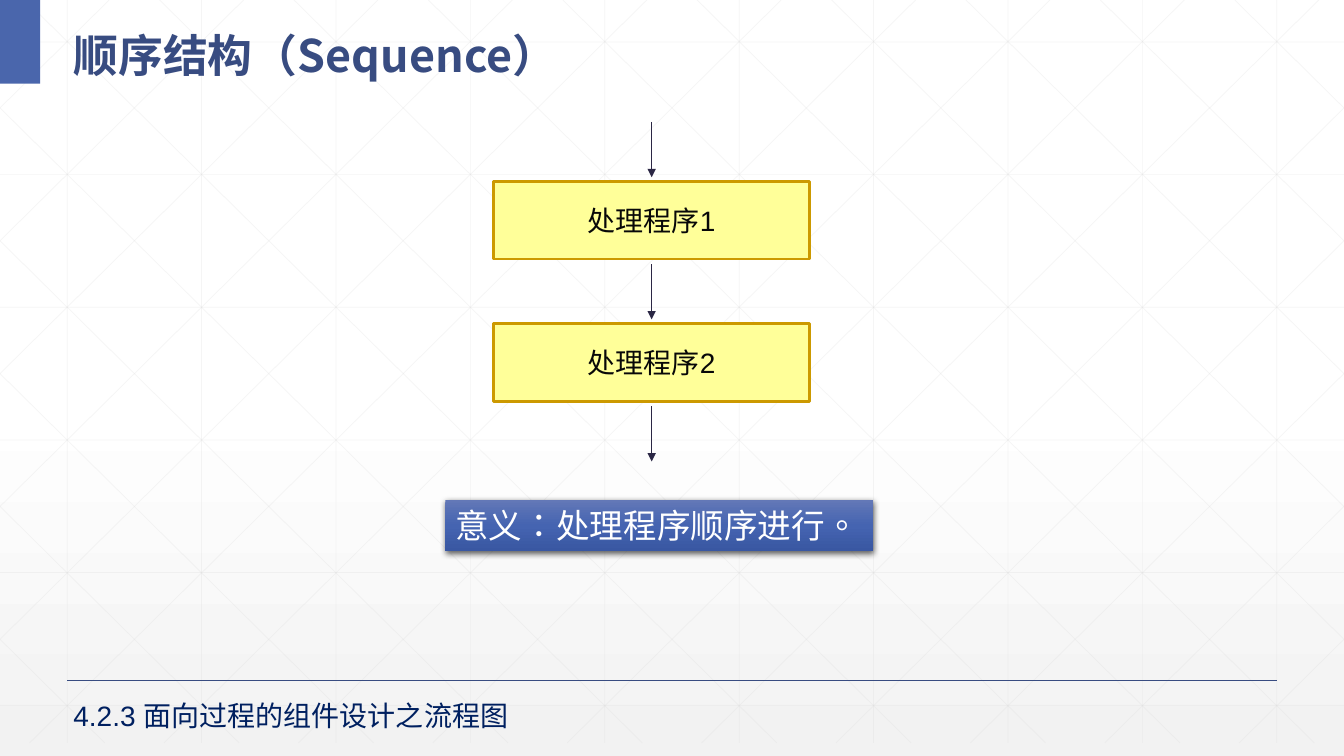
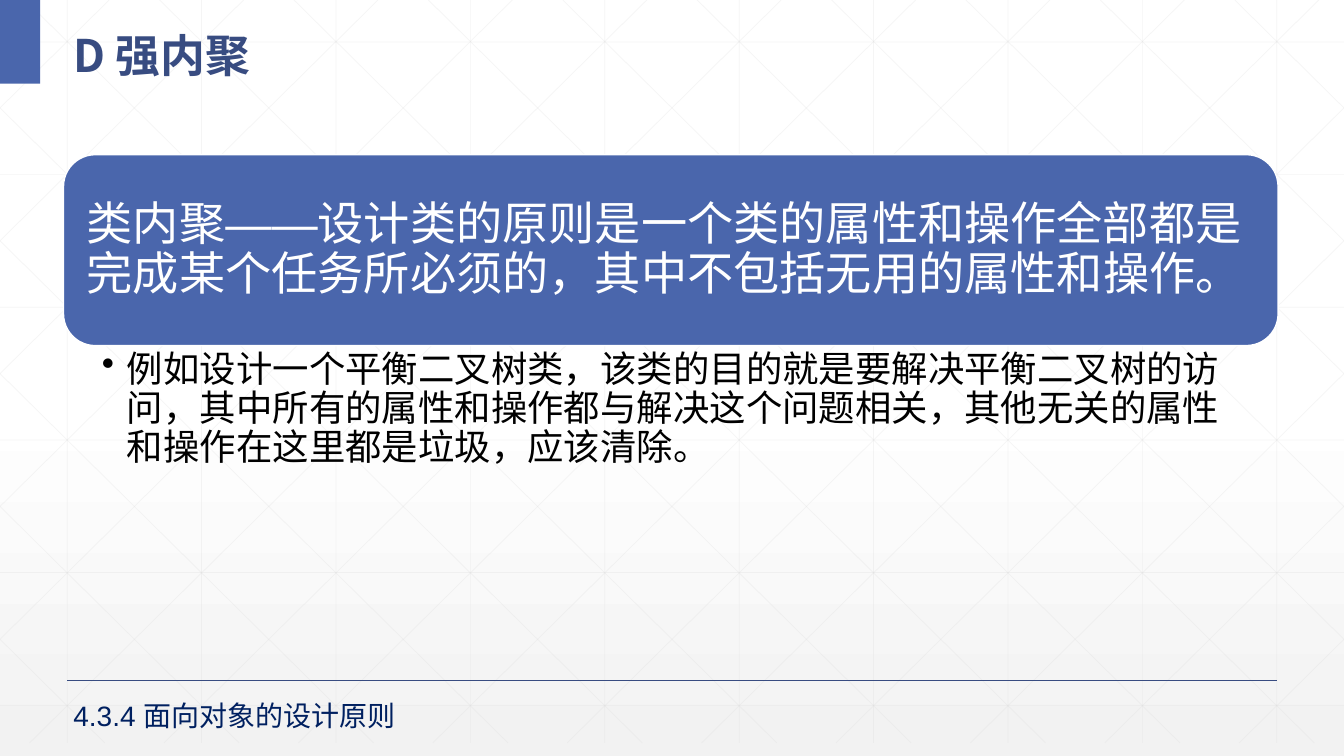
"""Build two course slides on sequence structure and strong cohesion."""
from copy import deepcopy
from dataclasses import dataclass

from lxml.etree import SubElement
from pptx import Presentation
from pptx.dml.color import RGBColor
from pptx.enum.dml import MSO_FILL
from pptx.enum.lang import MSO_LANGUAGE_ID
from pptx.enum.shapes import MSO_CONNECTOR, MSO_SHAPE
from pptx.enum.text import MSO_ANCHOR, MSO_AUTO_SIZE, PP_ALIGN
from pptx.oxml.ns import qn
from pptx.util import Pt

STRAIGHT = MSO_CONNECTOR.STRAIGHT
RECTANGLE, ROUNDED = MSO_SHAPE.RECTANGLE, MSO_SHAPE.ROUNDED_RECTANGLE
TOP, MIDDLE = MSO_ANCHOR.TOP, MSO_ANCHOR.MIDDLE
LEFT, CENTER = PP_ALIGN.LEFT, PP_ALIGN.CENTER
NO_FIT = MSO_AUTO_SIZE.NONE
GRADIENT = MSO_FILL.GRADIENT
SIMPLIFIED = MSO_LANGUAGE_ID.SIMPLIFIED_CHINESE
TRADITIONAL = MSO_LANGUAGE_ID.TRADITIONAL_CHINESE

WHITE = RGBColor(0xFF, 0xFF, 0xFF)
BLACK = RGBColor(0x00, 0x00, 0x00)
PALE_GRAY = RGBColor(0xF2, 0xF2, 0xF2)
GRID_GRAY = RGBColor(0xD9, 0xD9, 0xD9)
BLUE = RGBColor(0x4A, 0x66, 0xAC)
DARK_BLUE = RGBColor(0x38, 0x4C, 0x81)
NAVY = RGBColor(0x00, 0x20, 0x60)
YELLOW = RGBColor(0xFF, 0xFF, 0x99)
GOLD = RGBColor(0xCC, 0x99, 0x00)
INK = RGBColor(0x08, 0x08, 0x08)
ARROW_INK = RGBColor(0x2B, 0x27, 0x45)
PAGE_STOPS = [(0, WHITE), (0.53, WHITE), (1, PALE_GRAY)]
BANNER_STOPS = [
    (0, RGBColor(0x63, 0x78, 0xB7)),
    (0.5, RGBColor(0x45, 0x64, 0xB1)),
    (1, RGBColor(0x39, 0x57, 0xA2)),
]

TITLE_FONT, BODY_FONT = "Noto Sans CJK SC", "Arial"
WIDTH, HEIGHT = 960, 540
GRID_BOTTOM, GRID_STEP, ROW_STEP = 530.6, 96, 94.75
DIAGONAL_START, DIAGONAL_RUN = 18, 536.8
SLOPE = GRID_BOTTOM / DIAGONAL_RUN


@dataclass(frozen=True)
class Area:
    """A rectangle in points."""

    left: float
    top: float
    width: float
    height: float

    def lengths(self) -> tuple:
        """Return the four lengths as slide units."""
        return Pt(self.left), Pt(self.top), Pt(self.width), Pt(self.height)


@dataclass(frozen=True)
class Style:
    """The look of a text."""

    size: float
    color: RGBColor
    font: str = BODY_FONT
    bold: bool = False
    align: PP_ALIGN = LEFT
    anchor: MSO_ANCHOR = MIDDLE
    spacing: float = 1.0
    language: MSO_LANGUAGE_ID = SIMPLIFIED


@dataclass(frozen=True)
class Step:
    """A process box of the flow chart."""

    text: str
    top: float


TITLE_AREA = Area(45.36, 7.2, 894.24, 52.56)
TITLE_STYLE = Style(32, DARK_BLUE, TITLE_FONT, bold=True, spacing=1.3)
FOOTER_AREA = Area(45.36, 495.36, 435, 31.68)
FOOTER_STYLE = Style(20, NAVY)
STEP_STYLE = Style(20, INK, align=CENTER)
BANNER_STYLE = Style(24, WHITE, language=TRADITIONAL)
PRINCIPLE_STYLE = Style(33, WHITE, spacing=0.9)
EXAMPLE_STYLE = Style(26, BLACK, anchor=TOP, spacing=0.9)

STEP_LEFT, STEP_WIDTH, STEP_HEIGHT = 352.8, 225.36, 55.44
STEPS = [Step("处理程序1", 129.6), Step("处理程序2", 231.12)]
ARROW_TOPS, ARROW_LENGTH = [87.12, 188.64, 290.16], 39.5


def write_text(shape, text: str, style: Style) -> None:
    """Fill a shape with one styled paragraph."""
    frame = shape.text_frame
    frame.text = text
    frame.word_wrap = True
    frame.auto_size = NO_FIT
    frame.vertical_anchor = style.anchor
    para = frame.paragraphs[0]
    para.alignment = style.align
    para.line_spacing = style.spacing
    for span in para.runs:
        span.font.name = style.font
        span.font.size = Pt(style.size)
        span.font.bold = style.bold
        span.font.color.rgb = style.color
        span.font.language_id = style.language
        SubElement(span._r.get_or_add_rPr(), qn("a:ea"), typeface=style.font)


def set_gradient(fill, holder, stops: list) -> None:
    """Give a fill a gradient that runs from top to bottom."""
    if fill.type != GRADIENT:
        fill.gradient()
    fill.gradient_angle = 270
    stop_list = next(holder.iter(qn("a:gsLst")))
    while len(stop_list) < len(stops):
        stop_list.append(deepcopy(stop_list[-1]))
    for stop, (position, color) in zip(fill.gradient_stops, stops):
        stop.position = position
        stop.color.rgb = color


def add_box(shapes, kind: MSO_SHAPE, area: Area, color: RGBColor):
    """Add a flat shape without outline."""
    box = shapes.add_shape(kind, *area.lengths())
    box.shadow.inherit = False
    box.fill.solid()
    box.fill.fore_color.rgb = color
    box.line.fill.background()
    return box


def outline(box, color: RGBColor, width: float) -> None:
    """Draw the outline of a shape."""
    box.line.color.rgb = color
    box.line.width = Pt(width)


def add_line(shapes, start: tuple, end: tuple, color: RGBColor, width: float):
    """Add a straight line without shadow."""
    line = shapes.add_connector(STRAIGHT, *map(Pt, start + end))
    outline(line, color, width)
    SubElement(line.element.spPr, qn("a:effectLst"))
    return line


def add_grid_line(shapes, start: tuple, end: tuple) -> None:
    """Add a faint line of the background grid."""
    line = add_line(shapes, start, end, GRID_GRAY, 0.5)
    color = next(line.element.iter(qn("a:srgbClr")))
    SubElement(color, qn("a:alpha"), val="25000")


def add_arrow(shapes, start: tuple, end: tuple) -> None:
    """Add a line with an arrowhead at its end."""
    arrow = add_line(shapes, start, end, ARROW_INK, 1)
    SubElement(arrow.line._get_or_add_ln(), qn("a:tailEnd"), type="triangle")


def draw_grid(shapes) -> None:
    """Draw columns, rows and both families of diagonals."""
    for column in range(10):
        x = GRID_STEP / 2 + GRID_STEP * column
        add_grid_line(shapes, (x, 0), (x, GRID_BOTTOM))
    for row in range(6):
        y = 30 + ROW_STEP * row
        add_grid_line(shapes, (0, y), (WIDTH, y))
    for index in range(-5, 10):
        origin = DIAGONAL_START + GRID_STEP * index
        left, right = max(origin, 0), min(origin + DIAGONAL_RUN, WIDTH)
        top, bottom = (left - origin) * SLOPE, (right - origin) * SLOPE
        add_grid_line(shapes, (left, top), (right, bottom))
        add_grid_line(shapes, (WIDTH - left, top), (WIDTH - right, bottom))


def dress_master(deck, page) -> None:
    """Put background, grid, rule and corner block on the master."""
    master = deck.slide_master
    set_gradient(master.background.fill, master.element, PAGE_STOPS)
    frame = page.shapes.add_group_shape()
    draw_grid(frame.shapes)
    add_line(frame.shapes, (48, 486), (912, 486), DARK_BLUE, 1)
    add_box(frame.shapes, RECTANGLE, Area(0, 0, 28.8, 59.76), BLUE)
    for number, properties in enumerate(frame.element.iter(qn("p:cNvPr")), 100):
        properties.set("id", str(number))
    master.shapes.element.append(frame.element)


def add_page(deck, title: str, footer: str):
    """Add a slide with its title and footer."""
    page = deck.slides.add_slide(deck.slide_layouts[5])
    heading = page.shapes.title
    heading.left, heading.top, heading.width, heading.height = TITLE_AREA.lengths()
    write_text(heading, title, TITLE_STYLE)
    section = page.shapes.add_textbox(*FOOTER_AREA.lengths())
    write_text(section, footer, FOOTER_STYLE)
    return page


def add_banner(shapes, text: str, area: Area) -> None:
    """Add a gradient banner with a soft shadow."""
    banner = add_box(shapes, RECTANGLE, area, BLUE)
    set_gradient(banner.fill, banner.element, BANNER_STOPS)
    effects = banner.element.spPr.find(qn("a:effectLst"))
    shadow = SubElement(effects, qn("a:outerShdw"), blurRad=str(Pt(4.5)),
                        dist=str(Pt(1.5)), dir="5400000", rotWithShape="0")
    color = SubElement(shadow, qn("a:srgbClr"), val=str(BLACK))
    SubElement(color, qn("a:alpha"), val="63000")
    write_text(banner, text, BANNER_STYLE)
    banner.text_frame.word_wrap = False


def draw_sequence(page) -> None:
    """Draw the flow chart of the sequence structure."""
    for step in STEPS:
        area = Area(STEP_LEFT, step.top, STEP_WIDTH, STEP_HEIGHT)
        box = add_box(page.shapes, RECTANGLE, area, YELLOW)
        outline(box, GOLD, 2)
        write_text(box, step.text, STEP_STYLE)
    middle = STEP_LEFT + STEP_WIDTH / 2
    for top in ARROW_TOPS:
        add_arrow(page.shapes, (middle, top), (middle, top + ARROW_LENGTH))
    add_banner(page.shapes, "意义：处理程序顺序进行。",
               Area(318.24, 357.12, 305.28, 36.3))


def draw_cohesion(page) -> None:
    """Draw the principle panel and its example."""
    panel = add_box(page.shapes, ROUNDED, Area(45.36, 110.5, 867.6, 136.4), BLUE)
    outline(panel, WHITE, 1)
    write_text(panel, "类内聚——设计类的原则是一个类的属性和操作全部都是"
               "完成某个任务所必须的，其中不包括无用的属性和操作。", PRINCIPLE_STYLE)
    frame = panel.text_frame
    frame.margin_left = frame.margin_right = Pt(10)
    frame.margin_top = frame.margin_bottom = Pt(10)

    example = page.shapes.add_textbox(*Area(45.36, 246.96, 867.6, 128.88).lengths())
    frame = example.text_frame
    frame.margin_left, frame.margin_right = Pt(27.36), Pt(18.72)
    write_text(example, "例如设计一个平衡二叉树类，该类的目的就是要解决平衡二叉树的访"
               "问，其中所有的属性和操作都与解决这个问题相关，其他无关的属性"
               "和操作在这里都是垃圾，应该清除。", EXAMPLE_STYLE)
    properties = frame.paragraphs[0]._p.get_or_add_pPr()
    properties.set("marL", str(Pt(18)))
    properties.set("indent", str(Pt(-18)))
    SubElement(properties, qn("a:buChar"), char="•")


def main() -> None:
    """Build and save the deck."""
    deck = Presentation()
    deck.slide_width, deck.slide_height = Pt(WIDTH), Pt(HEIGHT)
    sequence = add_page(deck, "顺序结构（Sequence）", "4.2.3 面向过程的组件设计之流程图")
    dress_master(deck, sequence)
    draw_sequence(sequence)
    draw_cohesion(add_page(deck, "D 强内聚", "4.3.4 面向对象的设计原则"))
    deck.save("out.pptx")


if __name__ == "__main__":
    main()
